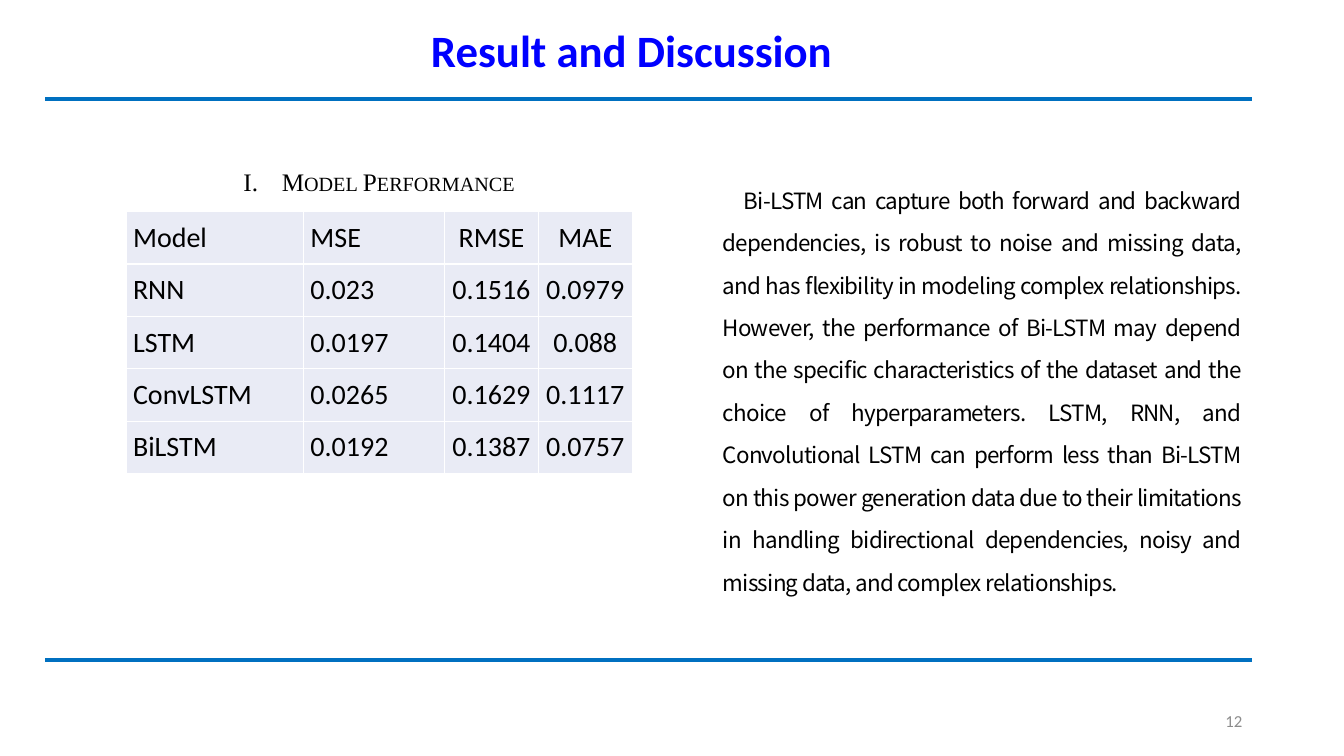
from lxml.etree import SubElement
from pptx import Presentation
from pptx.dml.color import RGBColor
from pptx.enum.shapes import MSO_CONNECTOR
from pptx.enum.text import MSO_ANCHOR, PP_ALIGN
from pptx.oxml.ns import qn
from pptx.util import Inches, Pt

BLACK = RGBColor(0x00, 0x00, 0x00)
WHITE = RGBColor(0xFF, 0xFF, 0xFF)
GRAY = RGBColor(0x8C, 0x8C, 0x8C)
TITLE_BLUE = RGBColor(0x00, 0x00, 0xFF)
RULE_BLUE = RGBColor(0x00, 0x70, 0xC0)
CELL_FILL = RGBColor(0xE9, 0xEB, 0xF5)

TITLE = "Result and Discussion"
CAPTION = "Model Performance"
PAGE_NUMBER = "12"
DISCUSSION = (
    "Bi-LSTM can capture both forward and backward dependencies, is robust to noise "
    "and missing data, and has flexibility in modeling complex relationships. However, "
    "the performance of Bi-LSTM may depend on the specific characteristics of the dataset "
    "and the choice of hyperparameters. LSTM, RNN, and Convolutional LSTM can perform less "
    "than Bi-LSTM on this power generation data due to their limitations in handling "
    "bidirectional dependencies, noisy and missing data, and complex relationships."
)
RESULTS = [
    ("Model", "MSE", "RMSE", "MAE"),
    ("RNN", "0.023", "0.1516", "0.0979"),
    ("LSTM", "0.0197", "0.1404", "0.088"),
    ("ConvLSTM", "0.0265", "0.1629", "0.1117"),
    ("BiLSTM", "0.0192", "0.1387", "0.0757"),
]
COLUMN_WIDTHS = (1.76, 1.4, 0.93, 0.93)
COLUMN_ALIGNMENTS = (PP_ALIGN.JUSTIFY, PP_ALIGN.JUSTIFY, PP_ALIGN.CENTER, PP_ALIGN.CENTER)
ROW_HEIGHT = 0.52
TABLE_LEFT, TABLE_TOP = 1.25, 2.1
TABLE_WIDTH = sum(COLUMN_WIDTHS)
RULE_LEFT, RULE_RIGHT = 0.45, 12.42
RULE_TOPS = (0.98, 6.55)


def write(frame, text, size, color=BLACK, font="Calibri", bold=False,
          align=PP_ALIGN.LEFT, anchor=MSO_ANCHOR.TOP):
    frame.word_wrap = True
    frame.vertical_anchor = anchor
    paragraph = frame.paragraphs[0]
    paragraph.alignment = align
    run = paragraph.add_run()
    run.text = text
    run.font.name = font
    run.font.size = Pt(size)
    run.font.bold = bold
    run.font.color.rgb = color
    return paragraph


def add_text(slide, box, text, size, **formatting):
    shape = slide.shapes.add_textbox(*map(Inches, box))
    return write(shape.text_frame, text, size, **formatting)


def set_indent(paragraph, margin, indent):
    properties = paragraph._p.get_or_add_pPr()
    properties.set("marL", str(Inches(margin)))
    properties.set("indent", str(Inches(indent)))
    return properties


def add_rule(slide, top):
    rule = slide.shapes.add_connector(
        MSO_CONNECTOR.STRAIGHT, Inches(RULE_LEFT), Inches(top), Inches(RULE_RIGHT), Inches(top))
    rule.line.color.rgb = RULE_BLUE
    rule.line.width = Pt(3)
    SubElement(rule._element.spPr, qn("a:effectLst"))


def format_cell(cell, text, align):
    cell.margin_left = cell.margin_right = Inches(0.07)
    cell.margin_top = cell.margin_bottom = 0
    cell.vertical_anchor = MSO_ANCHOR.MIDDLE
    write(cell.text_frame, text, 20, align=align, anchor=None)
    properties = cell._tc.get_or_add_tcPr()
    for side in ("a:lnL", "a:lnR", "a:lnT", "a:lnB"):
        border = SubElement(properties, qn(side), w=str(Pt(1)))
        fill = SubElement(border, qn("a:solidFill"))
        SubElement(fill, qn("a:srgbClr"), val=str(WHITE))
    cell.fill.solid()
    cell.fill.fore_color.rgb = CELL_FILL


def add_results_table(slide):
    table = slide.shapes.add_table(
        len(RESULTS), len(COLUMN_WIDTHS), Inches(TABLE_LEFT), Inches(TABLE_TOP),
        Inches(TABLE_WIDTH), Inches(ROW_HEIGHT * len(RESULTS))).table
    for column, width in zip(table.columns, COLUMN_WIDTHS):
        column.width = Inches(width)
    for row, values in zip(table.rows, RESULTS):
        row.height = Inches(ROW_HEIGHT)
        for cell, value, align in zip(row.cells, values, COLUMN_ALIGNMENTS):
            format_cell(cell, value, align)


def add_caption(slide):
    paragraph = add_text(slide, (TABLE_LEFT, 1.63, TABLE_WIDTH, 0.37), CAPTION, 18,
                         font="Times New Roman", align=PP_ALIGN.CENTER)
    paragraph.line_spacing = 0.9
    paragraph.space_after = Pt(6)
    properties = set_indent(paragraph, 0.38, -0.38)
    SubElement(properties, qn("a:buAutoNum"), type="romanUcPeriod")
    tabs = SubElement(properties, qn("a:tabLst"))
    SubElement(tabs, qn("a:tab"), pos=str(Inches(0.75)), algn="l")
    paragraph.runs[0].font._element.set("cap", "small")


def add_discussion(slide):
    paragraph = add_text(slide, (7.07, 1.65, 5.34, 3.88), DISCUSSION, 16,
                         font="Noto Sans CJK KR", align=PP_ALIGN.JUSTIFY)
    paragraph.line_spacing = 1.58
    set_indent(paragraph, 0, 0.21)
    paragraph.runs[0].font._element.set("spc", "-50")


def main():
    presentation = Presentation()
    presentation.slide_width = Inches(13.33)
    presentation.slide_height = Inches(7.5)
    slide = presentation.slides.add_slide(presentation.slide_layouts[5])

    title = slide.shapes.title
    title.left, title.top, title.width, title.height = map(Inches, (1.13, 0.1, 10.27, 0.79))
    write(title.text_frame, TITLE, 32, color=TITLE_BLUE, bold=True,
          align=PP_ALIGN.CENTER, anchor=MSO_ANCHOR.MIDDLE)
    for top in RULE_TOPS:
        add_rule(slide, top)
    add_caption(slide)
    add_results_table(slide)
    add_discussion(slide)
    add_text(slide, (9.42, 6.95, 3, 0.4), PAGE_NUMBER, 12, color=GRAY,
             align=PP_ALIGN.RIGHT, anchor=MSO_ANCHOR.MIDDLE)
    presentation.save("out.pptx")


if __name__ == "__main__":
    main()
